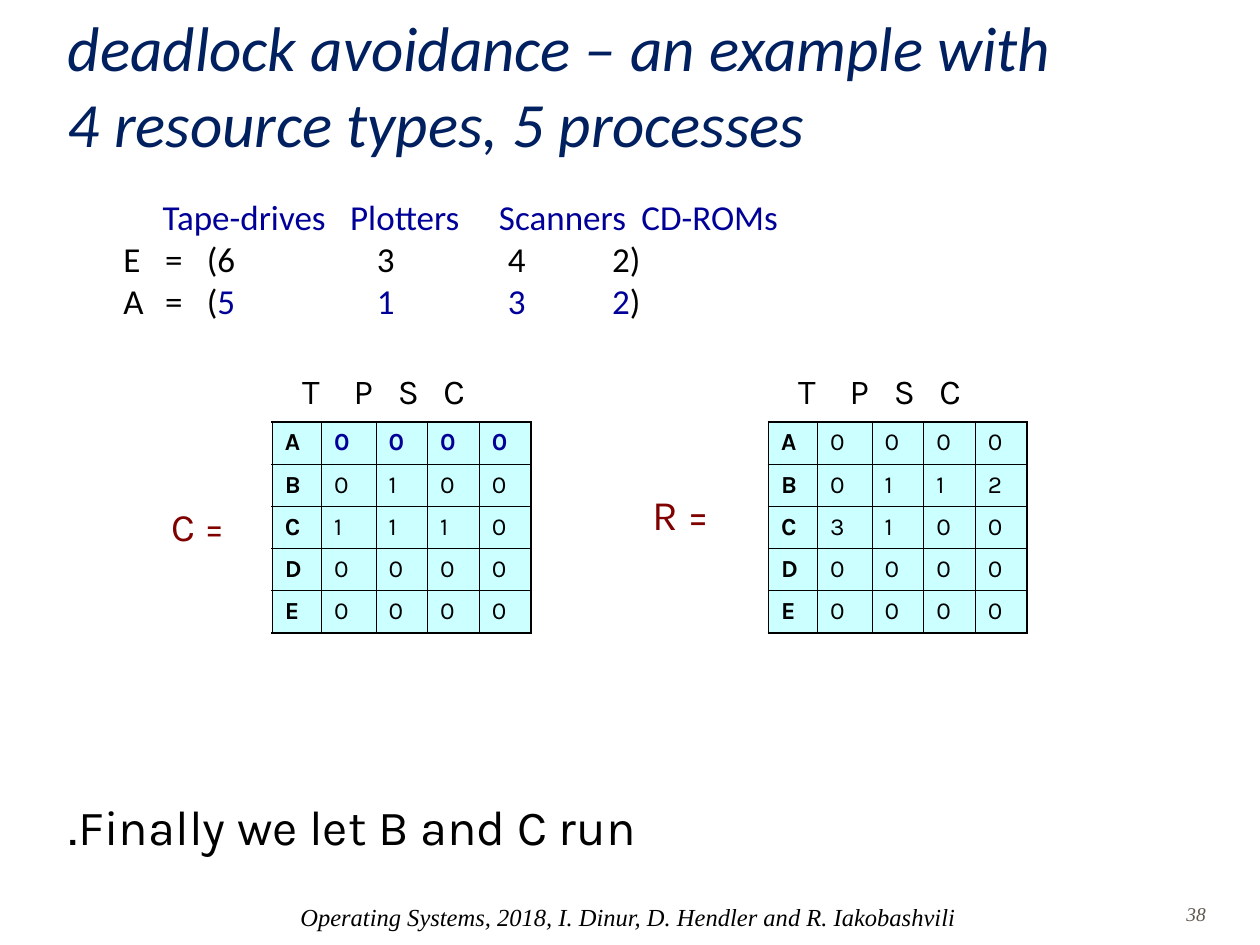
import pptx
import pptx.dml.color
import pptx.enum.text
import pptx.oxml
import pptx.oxml.ns
import pptx.util
from lxml import etree

Cm = pptx.util.Cm
Pt = pptx.util.Pt
RGBColor = pptx.dml.color.RGBColor
PP_ALIGN = pptx.enum.text.PP_ALIGN
ANCHOR = pptx.enum.text.MSO_ANCHOR
qn = pptx.oxml.ns.qn

BLACK = RGBColor(0x00, 0x00, 0x00)
NAVY = RGBColor(0x00, 0x20, 0x60)
BLUE = RGBColor(0x00, 0x00, 0x99)
MAROON = RGBColor(0x80, 0x00, 0x00)
GREY = RGBColor(0x5E, 0x57, 0x4E)
PALE_CYAN = RGBColor(0xCC, 0xFF, 0xFF)

TITLE = "deadlock avoidance – an example with \n4 resource types, 5 processes"
CONCLUSION = "Finally we let B and C run."
FOOTER = "Operating Systems, 2018, I. Dinur, D. Hendler and R. Iakobashvili"
SLIDE_NUMBER = "38"

# Each line: tab stops in cm, then (text, colour) runs
NAME_STOPS = [0.79, 4.57, 7.57, 10.44]
VECTOR_STOPS = [0.84, 1.68, 5.11, 7.75, 9.85]
RESOURCES = [
    (NAME_STOPS, [("\tTape-drives\tPlotters\tScanners\tCD-ROMs", BLUE)]),
    (VECTOR_STOPS, [("E\t=\t(6\t3\t4\t2)", BLACK)]),
    (VECTOR_STOPS, [("A\t=\t(", BLACK), ("5\t1\t3\t2", BLUE), (")", BLACK)]),
]

PROCESSES = "ABCDE"
COLUMN_HEADS = "\tT\tP\tS\tC"
HEAD_STOPS = [0.53, 1.57, 2.46, 3.38]
COLUMN_WIDTHS = [0.99, 1.1, 1.04, 1.04, 1.04]
ROW_HEIGHT = 0.85
TABLE_TOP = 8.51
HEAD_TOP = 7.32
HEAD_SHIFT = -0.18
# label, label box, label size, line spacing, table left, highlighted row, values
MATRICES = [
    ("C =", (3.2, 10.11, 7.59, 1.19), 22.2, 0.9, 5.49, "A",
     [(0, 0, 0, 0), (0, 1, 0, 0), (1, 1, 1, 0), (0, 0, 0, 0), (0, 0, 0, 0)]),
    ("R =", (12.9, 9.73, 2.39, 1.6), 24, 1.0, 15.49, None,
     [(0, 0, 0, 0), (0, 1, 1, 2), (3, 1, 0, 0), (0, 0, 0, 0), (0, 0, 0, 0)]),
]


def add_run(paragraph, text, size, font, colour, bold=False, italic=False):
    run = paragraph.add_run()
    run.text = text
    run.font.size = Pt(size)
    run.font.name = font
    run.font.color.rgb = colour
    run.font.bold = bold
    run.font.italic = italic


def add_box(slide, box, anchor=ANCHOR.TOP):
    frame = slide.shapes.add_textbox(*map(Cm, box)).text_frame
    frame.word_wrap = True
    frame.vertical_anchor = anchor
    return frame


def add_label(slide, box, text, size, font, colour, italic=False,
              align=PP_ALIGN.LEFT, anchor=ANCHOR.TOP):
    """Add a one-paragraph box; a newline in the text is a line break."""
    paragraph = add_box(slide, box, anchor).paragraphs[0]
    paragraph.alignment = align
    for index, line in enumerate(text.split("\n")):
        if index:
            paragraph.add_line_break()
        add_run(paragraph, line, size, font, colour, italic=italic)
    return paragraph


def set_tabs(paragraph, stops):
    tabs = etree.SubElement(paragraph._p.get_or_add_pPr(), qn("a:tabLst"))
    for stop in stops:
        etree.SubElement(tabs, qn("a:tab"), pos=str(Cm(stop)), algn="l")


def add_border(cell, side, width):
    line = etree.SubElement(cell._tc.get_or_add_tcPr(), qn("a:ln" + side),
                            w=str(Pt(width)))
    fill = etree.SubElement(line, qn("a:solidFill"))
    etree.SubElement(fill, qn("a:srgbClr"), val=str(BLACK))


def add_matrix(slide, left, values, highlighted):
    row_count, column_count = len(PROCESSES), len(COLUMN_WIDTHS)
    table = slide.shapes.add_table(
        row_count, column_count, Cm(left), Cm(TABLE_TOP),
        Cm(sum(COLUMN_WIDTHS)), Cm(ROW_HEIGHT * row_count)).table
    table.first_row = table.horz_banding = False
    for column, width in zip(table.columns, COLUMN_WIDTHS):
        column.width = Cm(width)
    for r, (process, counts) in enumerate(zip(PROCESSES, values)):
        table.rows[r].height = Cm(ROW_HEIGHT)
        for c, entry in enumerate((process, *counts)):
            cell = table.cell(r, c)
            outer = {"L": c == 0, "R": c == column_count - 1,
                     "T": r == 0, "B": r == row_count - 1}
            for side, is_outer in outer.items():
                add_border(cell, side, 1.08 if is_outer else 0.45)
            cell.fill.solid()
            cell.fill.fore_color.rgb = PALE_CYAN
            marked = c > 0 and process == highlighted
            add_run(cell.text_frame.paragraphs[0], str(entry), 14, "Karla",
                    BLUE if marked else BLACK, bold=c == 0 or marked)


def main():
    deck = pptx.Presentation()
    deck.slide_width, deck.slide_height = Cm(25.4), Cm(19.05)
    slide = deck.slides.add_slide(deck.slide_layouts[6])

    add_label(slide, (1.12, 0.64, 21.59, 2.11), TITLE, 36, "Calibri", NAVY,
              italic=True, anchor=ANCHOR.MIDDLE)

    resources = add_box(slide, (1.27, 3.81, 21.03, 9.32))
    resources.margin_left = Cm(1.22)
    for index, (stops, runs) in enumerate(RESOURCES):
        line = resources.add_paragraph() if index else resources.paragraphs[0]
        set_tabs(line, stops)
        for text, colour in runs:
            add_run(line, text, 20, "Calibri", colour)

    for label, box, size, spacing, left, highlighted, values in MATRICES:
        name = add_label(slide, box, label, size, "Karla", MAROON)
        name.line_spacing = spacing
        add_matrix(slide, left, values, highlighted)
        heads = add_label(slide, (left + HEAD_SHIFT, HEAD_TOP, 6.81, 1.12),
                          COLUMN_HEADS, 20, "Karla", BLACK)
        set_tabs(heads, HEAD_STOPS)

    conclusion = add_label(slide, (1.09, 15.93, 15.39, 1.45), CONCLUSION,
                           28, "Karla", BLACK)
    conclusion._p.get_or_add_pPr().set("rtl", "1")
    add_label(slide, (4.5, 18.06, 16.33, 0.99), FOOTER, 14, "Times New Roman",
              BLACK, italic=True, align=PP_ALIGN.CENTER)
    number = add_label(slide, (19.48, 18.11, 5.08, 0.76), SLIDE_NUMBER, 11.1,
                       "Times New Roman", GREY, italic=True,
                       align=PP_ALIGN.RIGHT)
    number.line_spacing = 0.9
    deck.save("out.pptx")


if __name__ == "__main__":
    main()
